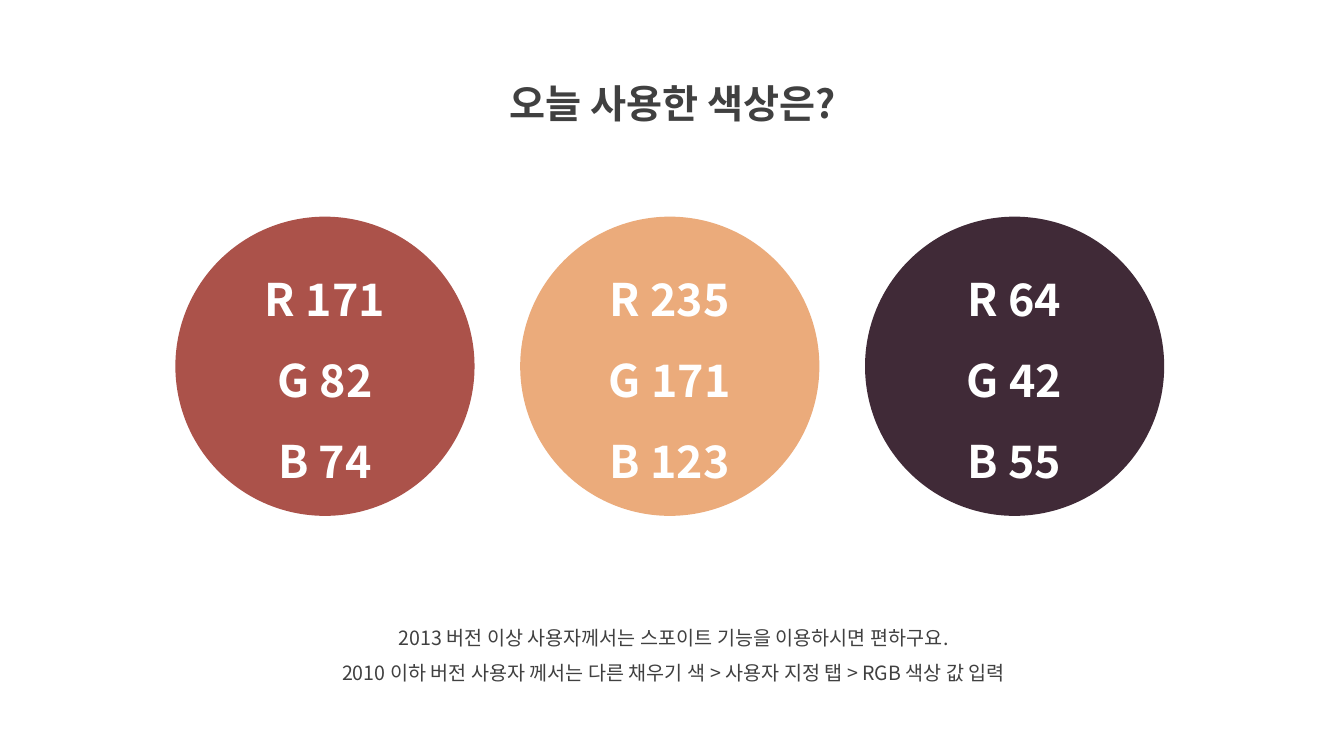
import pptx
import pptx.util
import pptx.dml.color
import pptx.enum.shapes
import pptx.enum.text
import pptx.oxml

Cm = pptx.util.Cm
Pt = pptx.util.Pt
FONT = "Noto Sans CJK KR"
COLORS = {"ink": "404040", "white": "FFFFFF",
          "red": "AB524A", "peach": "EBAB7B", "plum": "402A37"}


def rgb(name):
    return pptx.dml.color.RGBColor.from_string(COLORS[name])


def place(shape, box):
    shape.left, shape.top, shape.width, shape.height = [Cm(n) for n in box]


def write(frame, lines, size, color, bold=False):
    """Fill a text frame with centred lines, one run each."""
    frame.word_wrap = True
    for i, line in enumerate(lines):
        para = frame.add_paragraph() if i else frame.paragraphs[0]
        para.alignment = pptx.enum.text.PP_ALIGN.CENTER
        para.line_spacing = 1.5
        para.space_before = Pt(0)
        # No bullet or indent
        props = para._p.get_or_add_pPr()
        props.set("marL", "0")
        props.set("indent", "0")
        props.append(pptx.oxml.parse_xml(
            '<a:buNone xmlns:a="http://schemas.openxmlformats.org/drawingml/2006/main"/>'))
        run = para.add_run()
        run.text = line
        font = run.font
        font.name, font.size, font.bold = FONT, Pt(size), bold
        font.color.rgb = rgb(color)
        # Korean glyphs use the East Asian font
        east = pptx.oxml.parse_xml(
            '<a:ea xmlns:a="http://schemas.openxmlformats.org/drawingml/2006/main" '
            f'typeface="{FONT}"/>')
        font._rPr.append(east)


def add_copy(holder, box, lines, size, bold=False):
    """Move a placeholder to its box and fill it from the top."""
    place(holder, box)
    frame = holder.text_frame
    write(frame, lines, size, "ink", bold)
    frame.vertical_anchor = pptx.enum.text.MSO_ANCHOR.TOP
    frame.auto_size = pptx.enum.text.MSO_AUTO_SIZE.SHAPE_TO_FIT_TEXT


def add_swatches(slide, box, names):
    """Spread one circle per colour evenly over the box."""
    left, top, width, size = box
    step = (width - size) / (len(names) - 1)
    for i, name in enumerate(names):
        disc = slide.shapes.add_shape(
            pptx.enum.shapes.MSO_SHAPE.OVAL,
            Cm(left + i * step), Cm(top), Cm(size), Cm(size))
        disc.shadow.inherit = False
        disc.fill.solid()
        disc.fill.fore_color.rgb = rgb(name)
        disc.line.fill.background()
        lines = [f"{key} {value}" for key, value in zip("RGB", rgb(name))]
        write(disc.text_frame, lines, 32, "white", True)
        disc.text_frame.vertical_anchor = pptx.enum.text.MSO_ANCHOR.MIDDLE


def main():
    deck = pptx.Presentation()
    deck.slide_width, deck.slide_height = Cm(33.87), Cm(19.05)
    slide = deck.slides.add_slide(deck.slide_layouts[1])

    # Title
    add_copy(slide.shapes.title, (11.07, 1.27, 11.76, 1.83),
             ["오늘 사용한 색상은?"], 28, True)
    # Usage tips
    add_copy(slide.placeholders[1], (6.83, 15.34, 20.29, 2.06), [
        "2013 버전 이상 사용자께서는 스포이트 기능을 이용하시면 편하구요.",
        "2010 이하 버전 사용자 께서는 다른 채우기 색 > 사용자 지정 탭 > RGB 색상 값 입력",
    ], 14)
    # Colour circles
    add_swatches(slide, (4.42, 5.46, 24.92, 7.54), ["red", "peach", "plum"])

    deck.save("out.pptx")


if __name__ == "__main__":
    main()
